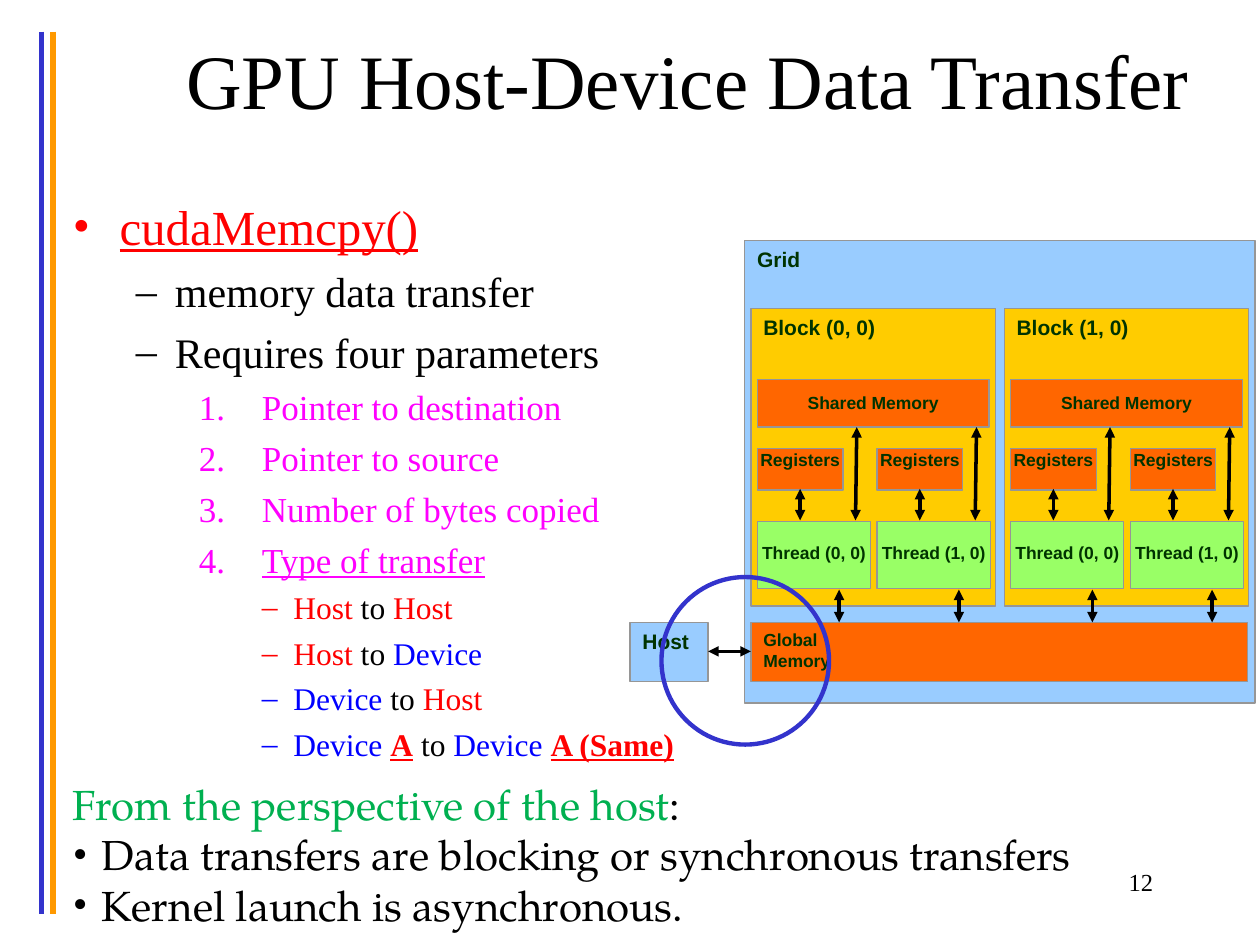
from pptx import Presentation
from pptx.dml.color import RGBColor
from pptx.enum.shapes import MSO_CONNECTOR, MSO_SHAPE
from pptx.enum.text import MSO_ANCHOR, PP_ALIGN
from pptx.oxml.ns import qn
from pptx.util import Inches, Pt
from lxml.etree import SubElement

COLORS = {
    "black": "000000", "red": "FF0000", "blue": "0000FF", "magenta": "FF00FF",
    "green": "00B050", "indigo": "3333CC", "amber": "FF9900", "gray": "969696",
    "dark green": "003300", "sky": "99CCFF", "orange": "FF6600",
    "yellow": "FFCC00", "lime": "99FF66",
}
RGB = {name: RGBColor.from_string(value) for name, value in COLORS.items()}

presentation = Presentation()
presentation.slide_width, presentation.slide_height = Inches(10), Inches(7.5)
slide = presentation.slides.add_slide(presentation.slide_layouts[6])


def add_line(x1, y1, x2, y2, color="black", width=2, arrows=True):
    line = slide.shapes.add_connector(
        MSO_CONNECTOR.STRAIGHT, Inches(x1), Inches(y1), Inches(x2), Inches(y2))
    line.line.color.rgb = RGB[color]
    line.line.width = Pt(width)
    if arrows:
        outline = line.line._get_or_add_ln()
        for end in ("a:headEnd", "a:tailEnd"):
            SubElement(outline, qn(end), type="triangle")
    SubElement(line._element.spPr, qn("a:effectLst"))


def add_box(left, top, width, height, text, fill, size=12, centered_inset=None):
    """Draw a labelled box; centered_inset centres the label at that top inset."""
    box = slide.shapes.add_shape(
        MSO_SHAPE.RECTANGLE, Inches(left), Inches(top), Inches(width), Inches(height))
    box.shadow.inherit = False
    box.fill.solid()
    box.fill.fore_color.rgb = RGB[fill]
    box.line.color.rgb = RGB["gray"]
    box.line.width = Pt(0.75)
    frame = box.text_frame
    frame.word_wrap = True
    frame.vertical_anchor = MSO_ANCHOR.TOP
    centered = centered_inset is not None
    if centered:
        frame.margin_left = frame.margin_right = frame.margin_bottom = 0
        frame.margin_top = Inches(centered_inset)
    frame.text = text
    for paragraph in frame.paragraphs:
        paragraph.alignment = PP_ALIGN.CENTER if centered else PP_ALIGN.LEFT
        paragraph.font.name = "Arial"
        paragraph.font.size = Pt(size)
        paragraph.font.bold = True
        paragraph.font.color.rgb = RGB["dark green"]


# Side rules
add_line(0.33, 0.25, 0.33, 7.25, "indigo", 3, arrows=False)
add_line(0.42, 0.25, 0.42, 7.25, "amber", 3, arrows=False)

# Paragraph styles: size, left margin, hanging indent, space before, bullet, alignment
STYLES = {
    "title": (44, 0, 0, 0, None, PP_ALIGN.CENTER),
    "number": (14, 0, 0, 0, None, PP_ALIGN.RIGHT),
    "topic": (28, 0.37, 0.37, 0, "•", PP_ALIGN.LEFT),
    "point": (24, 0.81, 0.31, 6, "–", PP_ALIGN.LEFT),
    "parameter": (20, 1.5, 0.5, 5, "1.", PP_ALIGN.LEFT),
    "direction": (18, 1.75, 0.25, 4.5, "–", PP_ALIGN.LEFT),
    "lead": (24, 0, 0, 0, None, PP_ALIGN.LEFT),
    "remark": (24, 0.23, 0.23, 0, "•", PP_ALIGN.LEFT),
}
# Runs: text, colour, then "u" for underline and "b" for bold
TO = (" to ", "black", "")
HOST, DEVICE = ("Host", "red", ""), ("Device", "blue", "")
DEVICE_SPACE = ("Device ", "blue", "")
SERIF, BOOK = "Times New Roman", "TeX Gyre Pagella"
text_boxes = [
    (7.17, 6.83, 2.08, 0.5, SERIF, [("number", [("12", "black", "")])]),
    (0.92, 0, 9.08, 1.25, SERIF,
     [("title", [("GPU Host-Device Data Transfer", "black", "")])]),
    (0.48, 1.51, 5.25, 4.57, SERIF, [
        ("topic", [("cudaMemcpy()", "red", "u")]),
        ("point", [("memory data transfer", "black", "")]),
        ("point", [("Requires four parameters", "black", "")]),
        ("parameter", [("Pointer to destination", "magenta", "")]),
        ("parameter", [("Pointer to source", "magenta", "")]),
        ("parameter", [("Number of bytes copied", "magenta", "")]),
        ("parameter", [("Type of transfer", "magenta", "u")]),
        ("direction", [HOST, TO, HOST]),
        ("direction", [HOST, TO, DEVICE]),
        ("direction", [DEVICE, TO, HOST]),
        ("direction", [DEVICE_SPACE, ("A", "red", "bu"), TO,
                       DEVICE_SPACE, ("A (Same)", "red", "bu")]),
    ]),
    (0.48, 6.13, 8.94, 1.3, BOOK, [
        ("lead", [("From the perspective of the host", "green", ""),
                  (":", "black", "")]),
        ("remark", [("Data transfers are blocking or synchronous transfers", "black", "")]),
        ("remark", [("Kernel launch is asynchronous.", "black", "")]),
    ]),
]
for left, top, width, height, font_name, paragraphs in text_boxes:
    text_box = slide.shapes.add_textbox(
        Inches(left), Inches(top), Inches(width), Inches(height))
    frame = text_box.text_frame
    frame.word_wrap = True
    for index, (style, runs) in enumerate(paragraphs):
        size, margin, hanging, before, bullet, alignment = STYLES[style]
        paragraph = frame.add_paragraph() if index else frame.paragraphs[0]
        paragraph.alignment = alignment
        paragraph.space_before = Pt(before)
        if bullet:
            properties = paragraph._p.get_or_add_pPr()
            properties.set("marL", str(Inches(margin)))
            properties.set("indent", str(-Inches(hanging)))
            bullet_color = SubElement(properties, qn("a:buClr"))
            SubElement(bullet_color, qn("a:srgbClr"), val=COLORS[runs[0][1]])
            SubElement(properties, qn("a:buFont"), typeface=SERIF)
            if bullet == "1.":
                SubElement(properties, qn("a:buAutoNum"), type="arabicPeriod")
            else:
                SubElement(properties, qn("a:buChar"), char=bullet)
        paragraph.font.name = font_name
        paragraph.font.size = Pt(size)
        for text, color, emphasis in runs:
            run = paragraph.add_run()
            run.text = text
            run.font.color.rgb = RGB[color]
            if "u" in emphasis:
                run.font.underline = True
            if "b" in emphasis:
                run.font.bold = True
    if style == "title":
        frame.vertical_anchor = MSO_ANCHOR.MIDDLE

# Memory diagram: two blocks of two threads above the global memory
add_box(5.91, 1.91, 4.05, 3.67, "Grid", "sky")
add_box(5.96, 4.94, 3.94, 0.47, "Global\nMemory", "orange", 10)
for block in range(2):
    block_left = 5.96 + block * 2.01
    add_box(block_left, 2.45, 1.94, 2.36, f"Block ({block}, 0)", "yellow")
    add_box(block_left + 0.05, 3.01, 1.84, 0.38, "Shared Memory", "orange", 10, 0.1)
    for thread in range(2):
        left = block_left + 0.05 + thread * 0.95
        add_box(left, 4.14, 0.9, 0.53, f"Thread ({thread}, 0)", "lime", 10, 0.16)
        add_box(left, 3.56, 0.68, 0.33, "Registers", "orange", 10, 0)
        add_line(left + 0.78, 4.13, left + 0.79, 3.39)
        add_line(left + 0.34, 4.13, left + 0.34, 3.88)
        add_line(left + 0.65, 4.68, left + 0.65, 4.94)

# Host and its link to the device
add_box(5, 4.94, 0.62, 0.47, "Host", "sky")
add_line(5.62, 5.17, 5.96, 5.17)
highlight = slide.shapes.add_shape(
    MSO_SHAPE.FLOWCHART_CONNECTOR, Inches(5.25), Inches(4.58), Inches(1.33), Inches(1.33))
highlight.shadow.inherit = False
highlight.fill.background()
highlight.line.color.rgb = RGB["indigo"]
highlight.line.width = Pt(2.5)

presentation.save("out.pptx")
